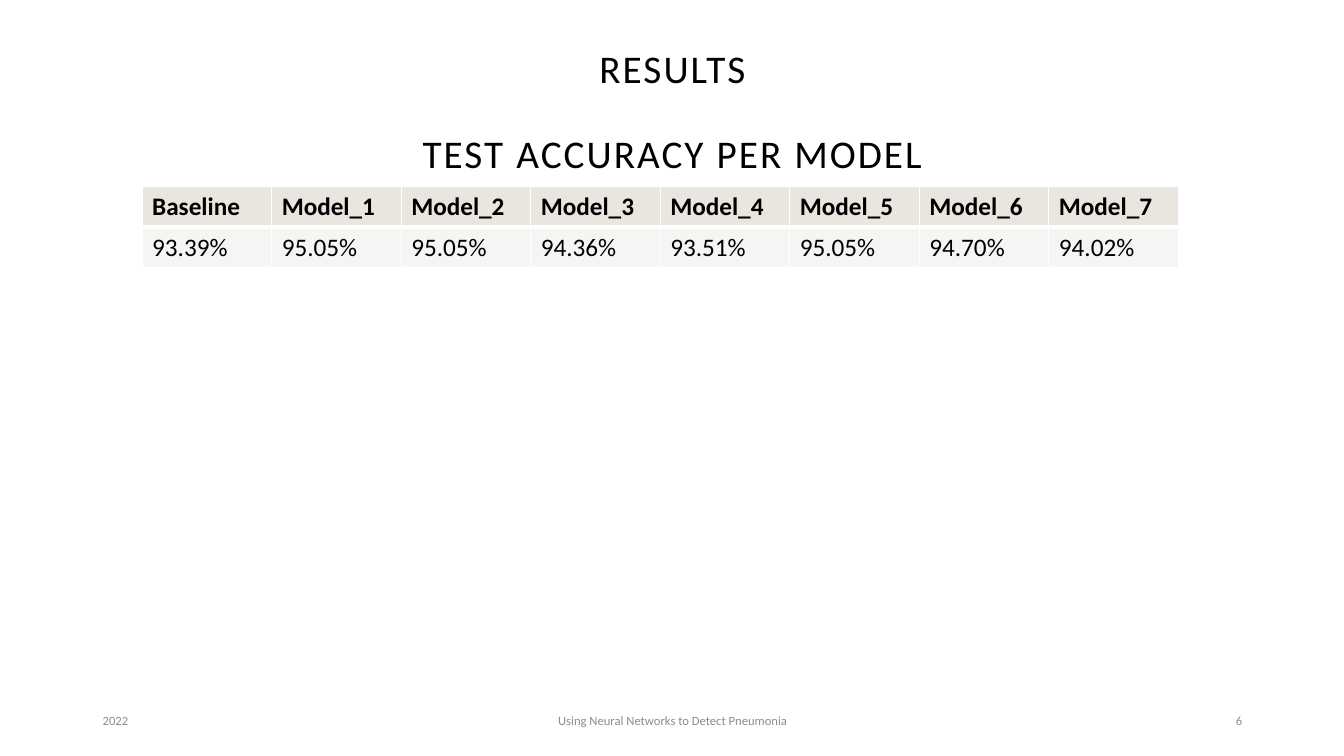
from lxml import etree
from pptx import Presentation
from pptx import util as u
from pptx.dml.color import RGBColor
from pptx.enum import text
from pptx.oxml.ns import qn

INK = {"text": "000000", "foot": "8C8C8C", "head": "E9E6DF", "body": "F7F5F3", "line": "FFFFFF"}
FACE = "Calibri"
ALIGN = text.PP_ALIGN
SCORES = {
    "Baseline": "93.39%", "Model_1": "95.05%", "Model_2": "95.05%", "Model_3": "94.36%",
    "Model_4": "93.51%", "Model_5": "95.05%", "Model_6": "94.70%", "Model_7": "94.02%",
}


def color(name):
    """Return the named colour."""
    return RGBColor.from_string(INK[name])


def style(para, size, ink="text", align=ALIGN.LEFT, bold=False):
    """Format a paragraph and its runs."""
    para.alignment = align
    for run in para.runs:
        font = run.font
        font.name, font.size, font.bold = FACE, u.Pt(size), bold
        font.color.rgb = color(ink)


def place(shape, box):
    """Move a shape to a box given in inches."""
    shape.left, shape.top, shape.width, shape.height = map(u.Inches, box)


def title(slide, box, lines):
    """Fill the title with spaced, centred lines."""
    shape = slide.shapes.title
    place(shape, box)
    frame = shape.text_frame
    frame.text = "\n".join(lines)
    frame.auto_size = text.MSO_AUTO_SIZE.NONE
    frame.vertical_anchor = text.MSO_ANCHOR.MIDDLE
    for i, para in enumerate(frame.paragraphs):
        style(para, 28, align=ALIGN.CENTER)
        para.line_spacing = 0.9
        para.space_before = u.Pt(30 if i else 0)
        for run in para.runs:
            run._r.get_or_add_rPr().set("spc", "150")


def footer(slide, box, parts):
    """Set date, topic and page number at left, centre and right."""
    left, top, width, height = box
    spots = (
        (left, 3, ALIGN.LEFT),
        (left + (width - 4.5) / 2, 4.5, ALIGN.CENTER),
        (left + width - 3, 3, ALIGN.RIGHT),
    )
    for words, (x, wide, align) in zip(parts, spots):
        shape = slide.shapes.add_textbox(*map(u.Inches, (x, top, wide, height)))
        frame = shape.text_frame
        frame.word_wrap = True
        frame.vertical_anchor = text.MSO_ANCHOR.MIDDLE
        frame.text = words
        style(frame.paragraphs[0], 9, "foot", align)


def border(cell, low):
    """Draw white cell edges, the bottom one of the given width."""
    props = cell._tc.get_or_add_tcPr()
    for i, (side, width) in enumerate(zip("LRTB", (1, 1, 1, low))):
        line = etree.Element(qn("a:ln" + side), w=str(u.Pt(width)))
        fill = etree.SubElement(line, qn("a:solidFill"))
        etree.SubElement(fill, qn("a:srgbClr"), val=INK["line"])
        props.insert(i, line)


def grid(slide, box, scores):
    """Add the table of scores with one column per model."""
    rows = (scores.keys(), scores.values())
    table = slide.shapes.add_table(len(rows), len(scores), *map(u.Inches, box)).table
    for r, (row, ink) in enumerate(zip(rows, ("head", "body"))):
        for c, words in enumerate(row):
            cell = table.cell(r, c)
            cell.text = words
            style(cell.text_frame.paragraphs[0], 18, bold=r == 0)
            cell.fill.solid()
            cell.fill.fore_color.rgb = color(ink)
            border(cell, 1 if r else 3)


def main():
    """Build and save the results slide."""
    deck = Presentation()
    deck.slide_width, deck.slide_height = u.Inches(13.33), u.Inches(7.5)
    slide = deck.slides.add_slide(deck.slide_layouts[5])
    title(slide, (0.92, 0.4, 11.5, 1.45), ("RESULTS", "TEST ACCURACY PER MODEL"))
    footer(slide, (0.92, 6.95, 11.5, 0.4), ("2022", "Using Neural Networks to Detect Pneumonia", "6"))
    grid(slide, (1.41, 1.85, 10.28, 0.81), SCORES)
    deck.save("out.pptx")


main()
